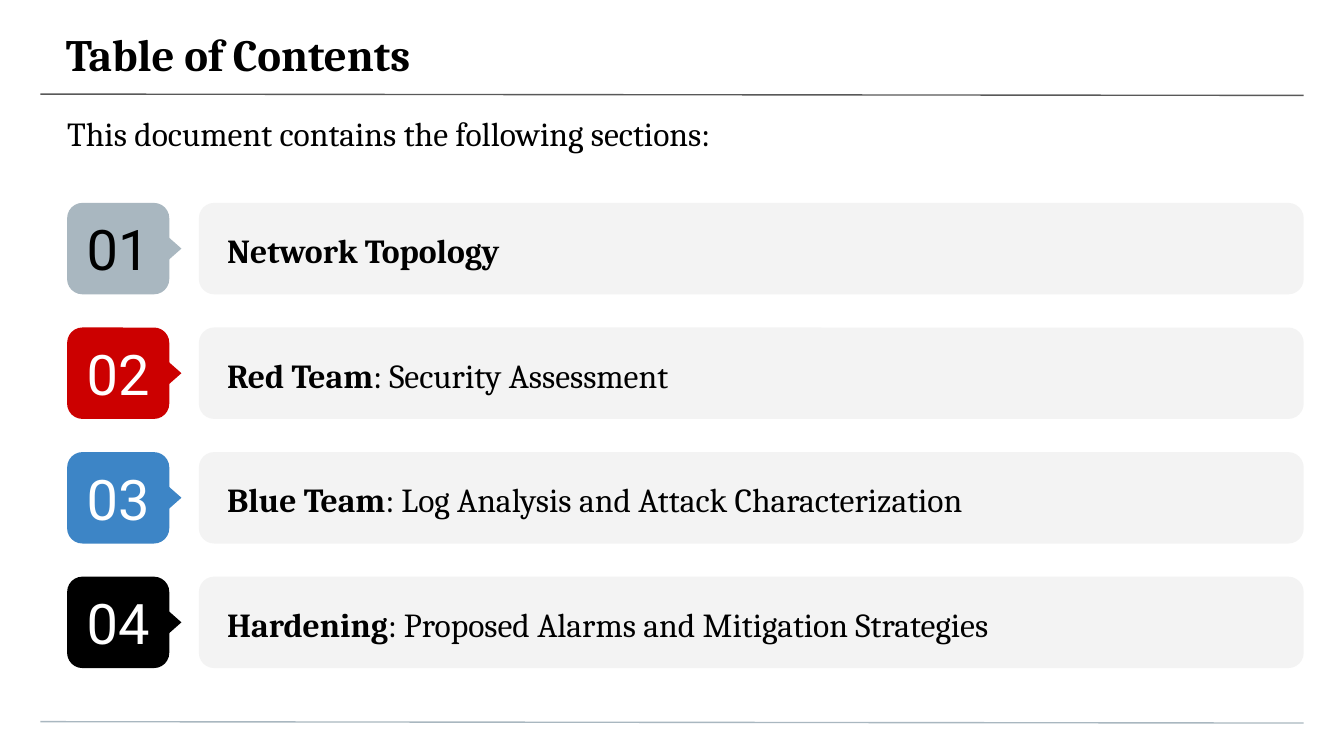
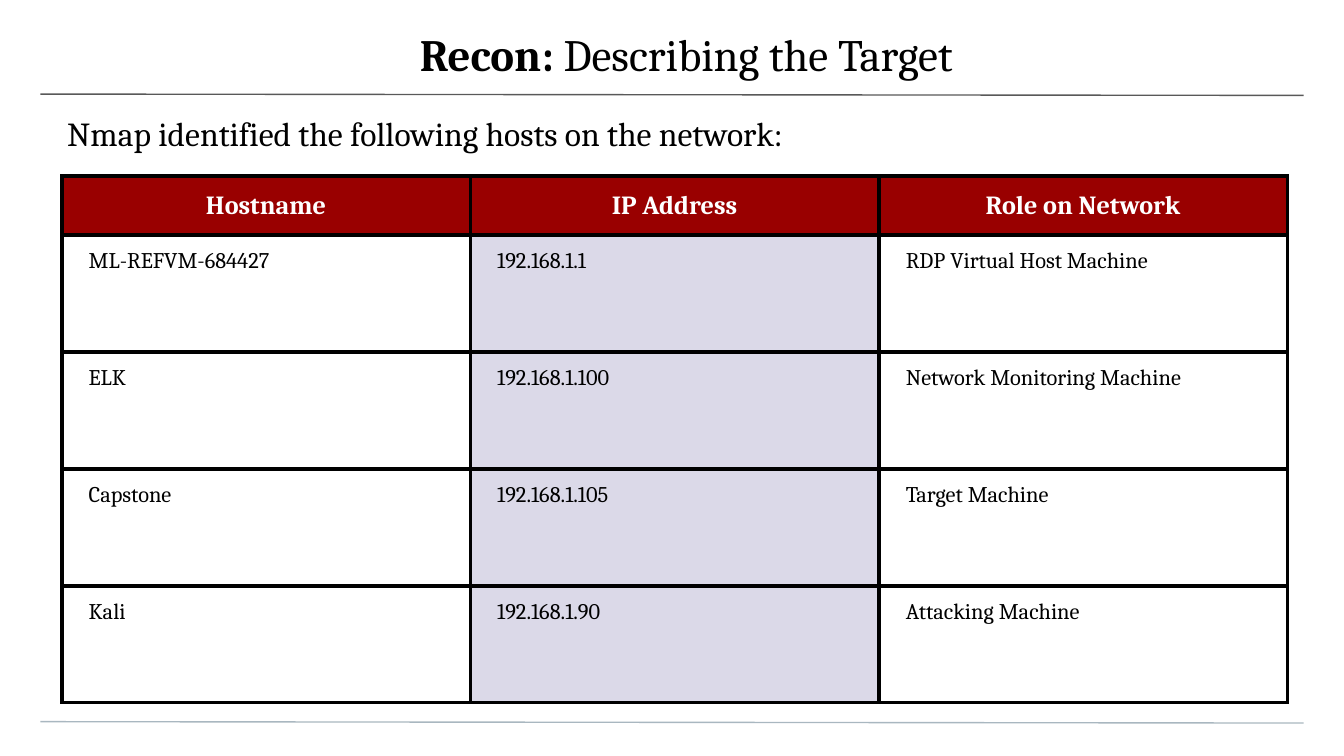
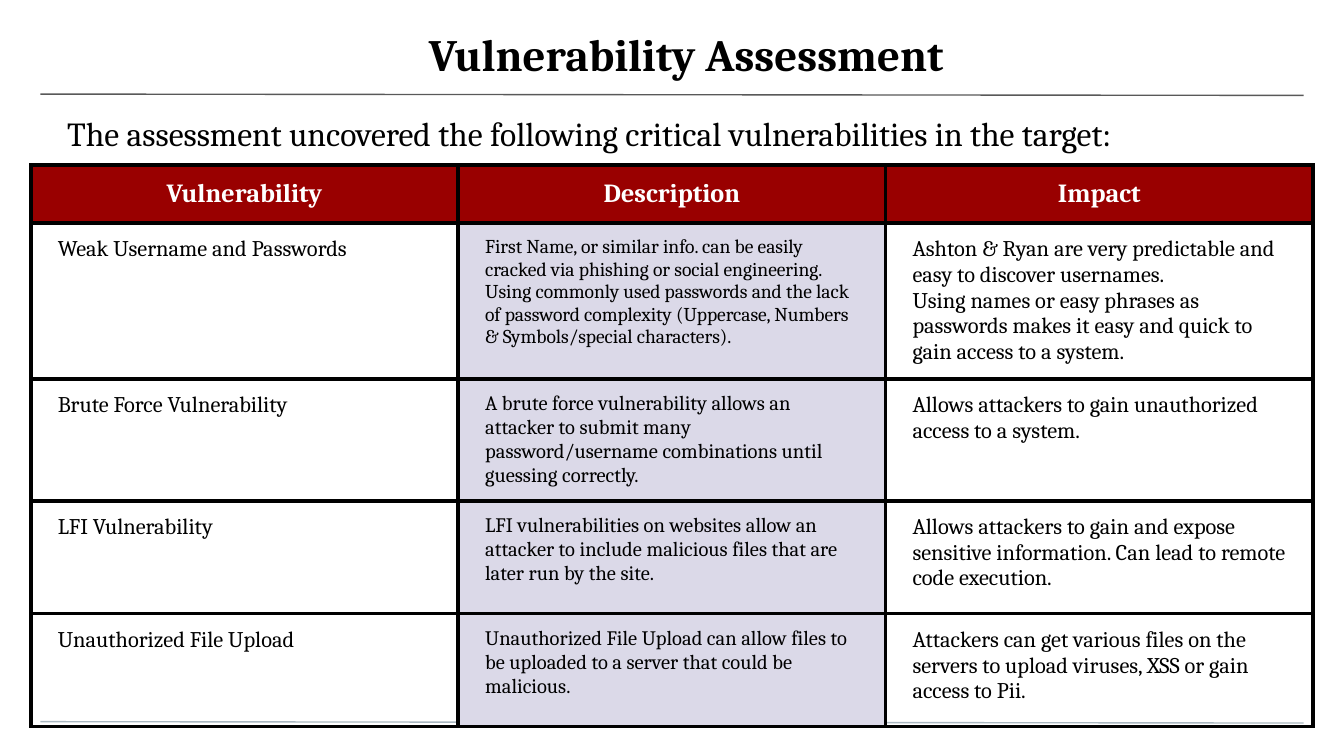
import lxml.etree
import pptx
import pptx.dml.color
import pptx.enum.shapes
import pptx.enum.text
import pptx.oxml.ns
import pptx.util

# The slide is a grid of square units: 100 columns by 56.25 rows.
WIDTH = pptx.util.Inches(10)
COLUMNS, ROWS = 100, 56.25
SERIF, SANS = "Cambria", "Roboto"
BLACK, WHITE = "000000", "FFFFFF"
GREY, DARK_GREY, PANEL = "A9B7C0", "595959", "F3F3F3"
RED, BLUE = "CC0000", "3D85C6"
HEADER, TINT = "990000", "DBD9E8"

SHAPE = pptx.enum.shapes.MSO_SHAPE
ALIGN = pptx.enum.text.PP_ALIGN
ANCHOR = pptx.enum.text.MSO_ANCHOR


def units(n):
    return pptx.util.Emu(round(n * WIDTH / COLUMNS))


def place(*box):
    return [units(n) for n in box]


def rgb(value):
    return pptx.dml.color.RGBColor.from_string(value)


def frame(tf, insets, anchor=ANCHOR.TOP):
    """Set wrapping, anchor and insets (left, top, right, bottom in units)."""
    tf.word_wrap = True
    tf.auto_size = pptx.enum.text.MSO_AUTO_SIZE.NONE
    tf.vertical_anchor = anchor
    tf.margin_left, tf.margin_top, tf.margin_right, tf.margin_bottom = place(*insets)


def write(p, bold, plain="", size=18, color=BLACK, font=SERIF, align=ALIGN.LEFT):
    """Fill a paragraph with a bold part followed by a plain part."""
    p.alignment = align
    p.space_before = pptx.util.Pt(0)
    for text, is_bold in ((bold, True), (plain, False)):
        if text:
            r = p.add_run()
            r.text = text
            r.font.name, r.font.size, r.font.bold = font, pptx.util.Pt(size), is_bold
            r.font.color.rgb = rgb(color)


def add_rule(slide, y, color):
    line = slide.shapes.add_connector(
        pptx.enum.shapes.MSO_CONNECTOR.STRAIGHT, *place(3, y, 97, y + 0.1))
    line.line.color.rgb = rgb(color)
    line.line.width = pptx.util.Pt(0.75)
    lxml.etree.SubElement(line._element.spPr, pptx.oxml.ns.qn("a:effectLst"))


def add_slide(prs, title, subtitle, align=ALIGN.CENTER):
    """Add a slide with its rules, a (bold, plain) title and a subtitle."""
    slide = prs.slides.add_slide(prs.slide_layouts[0])
    heading, sub = slide.placeholders
    heading.left, heading.top, heading.width, heading.height = place(-0.1, 0, 100.3, 5.8)
    frame(heading.text_frame, (5, 2, 3, 1))
    write(heading.text_frame.paragraphs[0], *title, size=24, align=align)
    sub.left, sub.top, sub.width, sub.height = place(0, 7.4, COLUMNS, 4)
    frame(sub.text_frame, (5, 1, 5, 0))
    write(sub.text_frame.paragraphs[0], "", subtitle)
    add_rule(slide, 7, DARK_GREY)
    add_rule(slide, 53.7, GREY)
    return slide


def add_block(shapes, kind, box, color):
    sp = shapes.add_shape(kind, *place(*box))
    sp.shadow.inherit = False
    sp.fill.solid()
    sp.fill.fore_color.rgb = rgb(color)
    sp.line.fill.background()
    return sp


def add_badge(slide, box, number, fill, color):
    """Add a numbered tile with a pointer on its right side."""
    x, y, w, h = box
    group = slide.shapes.add_group_shape()
    tile = add_block(group.shapes, SHAPE.ROUNDED_RECTANGLE, box, fill)
    frame(tile.text_frame, (1, 1, 1, 1), ANCHOR.MIDDLE)
    write(tile.text_frame.paragraphs[0], "", number, 30, color, SANS, ALIGN.CENTER)
    base, depth = 3.7, 2.1
    pointer = add_block(group.shapes, SHAPE.FLOWCHART_EXTRACT,
                        (x + w - 2, y + (h - depth) / 2, base, depth), fill)
    pointer.rotation = 90


def add_section(slide, box, number, fill, color, bold, plain):
    x, y, w, h = box
    panel_x = x + 9.8
    add_block(slide.shapes, SHAPE.ROUNDED_RECTANGLE, (panel_x, y, x + w - panel_x, h), PANEL)
    add_badge(slide, (x, y, 7.6, h), number, fill, color)
    label = slide.shapes.add_textbox(*place(-0.1, y, 100.3, h - 0.2))
    frame(label.text_frame, (17, 0, 5, 0), ANCHOR.MIDDLE)
    p = label.text_frame.paragraphs[0]
    write(p, bold, plain)
    p.line_spacing = 1.15


def add_borders(cell):
    tc_pr = cell._tc.get_or_add_tcPr()
    for side in ("lnL", "lnR", "lnT", "lnB"):
        ln = lxml.etree.SubElement(tc_pr, pptx.oxml.ns.qn("a:" + side),
                                   w=str(pptx.util.Pt(2.25)))
        solid = lxml.etree.SubElement(ln, pptx.oxml.ns.qn("a:solidFill"))
        lxml.etree.SubElement(solid, pptx.oxml.ns.qn("a:srgbClr"), val=BLACK)


def fill_cell(cell, text, fill=None, **style):
    add_borders(cell)
    if fill:
        cell.fill.solid()
        cell.fill.fore_color.rgb = rgb(fill)
    else:
        cell.fill.background()
    cell.margin_left = cell.margin_right = units(2)
    cell.margin_top = cell.margin_bottom = units(1)
    tf = cell.text_frame
    for i, line in enumerate(text.split("\n")):
        p = tf.add_paragraph() if i else tf.paragraphs[0]
        write(p, line if fill == HEADER else "", "" if fill == HEADER else line, **style)


def add_grid(slide, box, header_height, header, body, middle_sizes):
    """Add a bordered table; middle_sizes are the middle column's text sizes."""
    x, y, w, h = box
    table = slide.shapes.add_table(len(body) + 1, len(header), *place(*box)).table
    table.first_row = table.horz_banding = False
    for column in table.columns:
        column.width = units(w / len(header))
    for row in table.rows:
        row.height = units((h - header_height) / len(body))
    table.rows[0].height = units(header_height)
    for c, text in enumerate(header):
        cell = table.cell(0, c)
        fill_cell(cell, text, HEADER, size=14, color=WHITE, align=ALIGN.CENTER)
        cell.vertical_anchor = ANCHOR.MIDDLE
    for r, (values, middle_size) in enumerate(zip(body, middle_sizes), 1):
        for c, text in enumerate(values):
            middle = c == 1
            fill_cell(table.cell(r, c), text, TINT if middle else None,
                      size=middle_size if middle else 12)


def contents_slide(prs):
    slide = add_slide(prs, ("Table of Contents",),
                      "This document contains the following sections:", ALIGN.LEFT)
    sections = [
        (GREY, BLACK, "Network Topology", ""),
        (RED, WHITE, "Red Team", ": Security Assessment"),
        (BLUE, WHITE, "Blue Team", ": Log Analysis and Attack Characterization"),
        (BLACK, WHITE, "Hardening", ": Proposed Alarms and Mitigation Strategies"),
    ]
    for i, section in enumerate(sections):
        add_section(slide, (5, 15.1 + 9.27 * i, 92, 6.8), f"{i + 1:02}", *section)


def recon_slide(prs):
    slide = add_slide(prs, ("Recon:", " Describing the Target"),
                      "Nmap identified the following hosts on the network:")
    hosts = [
        ("ML-REFVM-684427", "192.168.1.1", "RDP Virtual Host Machine"),
        ("ELK", "192.168.1.100", "Network Monitoring Machine"),
        ("Capstone", "192.168.1.105", "Target Machine"),
        ("Kali", "192.168.1.90", "Attacking Machine"),
    ]
    add_grid(slide, (4.6, 13.1, 91.2, 39.2), 4.4,
             ("Hostname", "IP Address", "Role on Network"), hosts, [12] * 4)


def vulnerability_slide(prs):
    slide = add_slide(
        prs, ("Vulnerability Assessment",),
        "The assessment uncovered the following critical vulnerabilities in the target:")
    findings = [
        ("Weak Username and Passwords",
         "First Name, or similar info. can be easily cracked via phishing or social "
         "engineering.\nUsing commonly used passwords and the lack of password complexity "
         "(Uppercase, Numbers & Symbols/special characters).",
         "Ashton & Ryan are very predictable and easy to discover usernames.\n"
         "Using names or easy phrases as passwords makes it easy and quick to gain "
         "access to a system."),
        ("Brute Force Vulnerability",
         "A brute force vulnerability allows an attacker to submit many "
         "password/username combinations until guessing correctly.",
         "Allows attackers to gain unauthorized access to a system."),
        ("LFI Vulnerability",
         "LFI vulnerabilities on websites allow an attacker to include malicious files "
         "that are later run by the site.",
         "Allows attackers to gain and expose sensitive information. Can lead to remote "
         "code execution."),
        ("Unauthorized File Upload",
         "Unauthorized File Upload can allow files to be uploaded to a server that could "
         "be malicious.",
         "Attackers can get various files on the servers to upload viruses, XSS or gain "
         "access to Pii."),
    ]
    add_grid(slide, (2.3, 12.3, 95.4, 37.9), 4.3,
             ("Vulnerability", "Description", "Impact"), findings, [10.5, 11, 11, 11])


def main():
    prs = pptx.Presentation()
    prs.slide_width, prs.slide_height = WIDTH, units(ROWS)
    contents_slide(prs)
    recon_slide(prs)
    vulnerability_slide(prs)
    prs.save("out.pptx")


if __name__ == "__main__":
    main()
